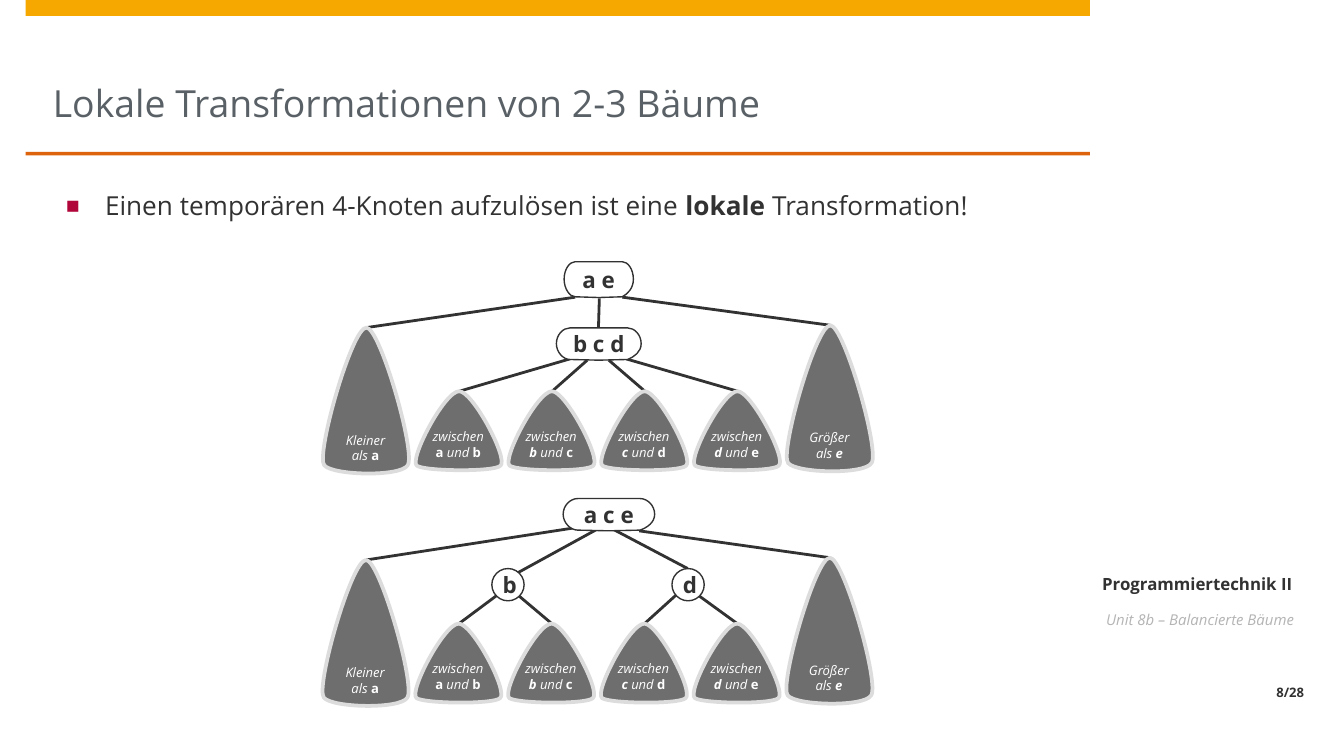
from lxml import etree
from pptx import Presentation
from pptx.dml.color import RGBColor
from pptx.enum import shapes, text
from pptx.oxml import ns
from pptx.util import Pt

FONT = "Open Sans"
INK = RGBColor(0x32, 0x32, 0x32)
TITLE_GREY = RGBColor(0x5A, 0x61, 0x66)
UNIT_GREY = RGBColor(0xB4, 0xB4, 0xB4)
SUBTREE_GREY = RGBColor(0x6E, 0x6E, 0x6E)
RIM_GREY = RGBColor(0xDC, 0xDC, 0xDC)
WHITE = RGBColor(0xFF, 0xFF, 0xFF)
AMBER = RGBColor(0xF6, 0xA8, 0x00)
ORANGE = RGBColor(0xDD, 0x64, 0x0C)
BULLET_RED = RGBColor(0xB1, 0x06, 0x3A)

LEFT, CENTER, RIGHT = text.PP_ALIGN.LEFT, text.PP_ALIGN.CENTER, text.PP_ALIGN.RIGHT
TOP, MIDDLE, BOTTOM = text.MSO_ANCHOR.TOP, text.MSO_ANCHOR.MIDDLE, text.MSO_ANCHOR.BOTTOM

OUTLINE_UNIT = 1000
SUBTREE_OUTLINE = [
    [(20, 940)],
    [(-80, 870), (340, 0), (510, 0)],
    [(670, 0), (1090, 860), (990, 940)],
    [(910, 1020), (120, 1010), (20, 940)],
]
NODE_OUTLINE = [
    [(160, 0)],
    [(500, 0)],
    [(840, 0)],
    [(920, 0), (1000, 210), (1000, 490)],
    [(1000, 740), (920, 900), (840, 980)],
    [(500, 1000)],
    [(160, 980)],
    [(80, 980), (0, 750), (0, 490)],
    [(0, 210), (80, 0), (160, 0)],
]

COLUMN_STEP = 49.7
SUBTREE_WIDTH = 46.1
APEX = 23.6
TALL, SHORT = 78.5, 42.5
SUBTREE_TOPS = [1.2, 35.3, 35.3, 35.3, 35.3, 0]
SUBTREE_LABELS = [
    [("Kleiner als ", False, True), ("a", True, False)],
    [("zwischen ", False, True), ("a ", True, False), ("und ", False, True), ("b", True, False)],
    *[[("zwischen ", False, True), (f"{low} ", True, True), ("und ", False, True), (high, True, False)]
      for low, high in ("bc", "cd", "de")],
    [("Größer als ", False, True), ("e", True, True)],
]

FOUR_NODE_TREE = {
    "nodes": [("b c d", 125.3, 1.4, 45.4, 17.3), ("a e", 129.4, -34.1, 37.1, 19.2)],
    "edges": [((148.3, -14.4), (147.8, 1.4)), ((132.5, 18), 1), ((141.8, 18.7), 2),
              ((153.4, 18.7), 3), ((162.7, 18), 4), ((160.6, -15.1), 5), ((135.4, -15.1), 0)],
}
SPLIT_TREE = {
    "nodes": [("b", 90.9, 5.8, 17.3, 17.3), ("d", 187.4, 5.8, 17.3, 17.3),
              ("a c e", 129.1, -31.7, 49, 17.3)],
    "edges": [((93.6, 20.2), 1), ((105.1, 20.2), 2), ((189.4, 20.2), 3), ((201.6, 20.2), 4),
              ((148.3, -15.8), (105.1, 7.9)), ((154.8, -15.8), (195.8, 5.8)),
              ((133.9, -15.8), 0), ((169.9, -14.4), 5)],
}


def write(shape, runs, size, color, align=LEFT, anchor=TOP, insets=(0, 0, 0, 0), gap=3, wrap=True):
    """Fill a shape with one paragraph of (text, bold, italic) runs."""
    frame = shape.text_frame
    frame.auto_size = text.MSO_AUTO_SIZE.NONE
    frame.word_wrap = wrap
    frame.vertical_anchor = anchor
    frame.margin_left, frame.margin_top, frame.margin_right, frame.margin_bottom = map(Pt, insets)
    paragraph = frame.paragraphs[0]
    paragraph.alignment = align
    paragraph.space_before = paragraph.space_after = Pt(gap)
    for words, bold, italic in runs:
        run = paragraph.add_run()
        run.text = words
        run.font.name, run.font.size = FONT, Pt(size)
        run.font.bold, run.font.italic = bold, italic
        run.font.color.rgb = color
    return paragraph


def paint(shape, fill, line=None, width=0):
    """Give a shape a flat fill and an optional outline."""
    shape.shadow.inherit = False
    shape.fill.solid()
    shape.fill.fore_color.rgb = fill
    if line is None:
        shape.line.fill.background()
    else:
        shape.line.color.rgb = line
        shape.line.width = Pt(width)


def add_outline(slide, outline, left, top, width, height):
    """Draw an outline of lines and cubic curves stretched over a box."""
    builder = slide.shapes.build_freeform(0, 0)
    builder.add_line_segments([(OUTLINE_UNIT, 0), (OUTLINE_UNIT, OUTLINE_UNIT)])
    shape = builder.convert_to_shape()
    shape.left, shape.top, shape.width, shape.height = map(Pt, (left, top, width, height))
    contour = shape._element.find(".//" + ns.qn("a:path"))
    for step in list(contour):
        contour.remove(step)
    for index, points in enumerate(outline):
        tag = "a:moveTo" if index == 0 else "a:lnTo" if len(points) == 1 else "a:cubicBezTo"
        step = etree.SubElement(contour, ns.qn(tag))
        for x, y in points:
            etree.SubElement(step, ns.qn("a:pt"), x=str(x), y=str(y))
    etree.SubElement(contour, ns.qn("a:close"))
    return shape


def add_node(slide, keys, left, top, width, height):
    """Draw a tree node: a circle for one key, a capsule for several."""
    if len(keys) == 1:
        node = slide.shapes.add_shape(shapes.MSO_SHAPE.OVAL, *map(Pt, (left, top, width, height)))
        indent = 2
    else:
        node = add_outline(slide, NODE_OUTLINE, left, top, width, height)
        indent = 0
    paint(node, WHITE, INK, 0.75)
    write(node, [(keys, True, False)], 12, INK, CENTER, MIDDLE, (indent, 0, 0, 0), wrap=False)


def add_edge(slide, start, end):
    """Draw a tree edge between two points."""
    edge = slide.shapes.add_connector(shapes.MSO_CONNECTOR.STRAIGHT, *map(Pt, (*start, *end)))
    edge.line.color.rgb = INK
    edge.line.width = Pt(1.5)
    etree.SubElement(edge._element.spPr, ns.qn("a:effectLst"))


def add_tree(slide, left, top, nodes, edges):
    """Draw edges, nodes and the row of six subtrees."""
    for (x, y), target in edges:
        if isinstance(target, int):
            target = (target * COLUMN_STEP + APEX, SUBTREE_TOPS[target])
        add_edge(slide, (left + x, top + y), (left + target[0], top + target[1]))
    for keys, x, y, width, height in nodes:
        add_node(slide, keys, left + x, top + y, width, height)
    for column, (offset, label) in enumerate(zip(SUBTREE_TOPS, SUBTREE_LABELS)):
        height = TALL if column in (0, 5) else SHORT
        subtree = add_outline(slide, SUBTREE_OUTLINE, left + column * COLUMN_STEP, top + offset,
                              SUBTREE_WIDTH, height)
        paint(subtree, SUBTREE_GREY, RIM_GREY, 2)
        write(subtree, label, 7, WHITE, CENTER, BOTTOM, (8.2, 5.76, 8.2, 5.76))


def add_header(slide, left, top, width):
    """Place the two colour bars and the title between them."""
    for offset, height, color in ((0, 8.6, AMBER), (81.3, 2, ORANGE)):
        bar = slide.shapes.add_shape(shapes.MSO_SHAPE.RECTANGLE,
                                     *map(Pt, (left, top + offset, width, height)))
        paint(bar, color)
    title = slide.shapes.title
    title.left, title.top, title.width, title.height = map(Pt, (left + 14.6, top + 8.9, 541.4, 72.7))
    write(title, [("Lokale Transformationen von 2-3 Bäume", False, False)], 20, TITLE_GREY,
          LEFT, BOTTOM, (0, 0, 0, 14.4), 0)


def add_statement(slide, left, top, width, height):
    """Place the bulleted statement."""
    statement = slide.shapes.add_textbox(*map(Pt, (left, top, width, height)))
    runs = [("Einen temporären 4-Knoten aufzulösen ist eine ", False, False),
            ("lokale", True, False), (" Transformation!", False, False)]
    paragraph = write(statement, runs, 14, INK, insets=(7.2, 3.6, 7.2, 3.6))
    properties = paragraph._p.get_or_add_pPr()
    properties.set("marL", str(Pt(20.9)))
    properties.set("indent", str(-Pt(20.9)))
    bullet_color = etree.SubElement(properties, ns.qn("a:buClr"))
    etree.SubElement(bullet_color, ns.qn("a:srgbClr"), val=str(BULLET_RED))
    etree.SubElement(properties, ns.qn("a:buSzPct"), val="55000")
    etree.SubElement(properties, ns.qn("a:buFont"), typeface=FONT)
    etree.SubElement(properties, ns.qn("a:buChar"), char="■")


def add_sidebar(slide, left, top, width):
    """Place course name, unit and page number."""
    rows = [
        ("Programmiertechnik II", 0, 41, 9, INK, True, CENTER, BOTTOM, 0),
        ("Unit 8b – Balancierte Bäume", 46.1, 37.4, 8, UNIT_GREY, False, LEFT, TOP, 8.6),
        ("8/28", 83.5, 14.4, 7, INK, True, RIGHT, BOTTOM, 8.6),
    ]
    for words, offset, height, size, color, bold, align, anchor, inset in rows:
        row = slide.shapes.add_textbox(*map(Pt, (left, top + offset, width, height)))
        write(row, [(words, bold, not bold)], size, color, align, anchor, (inset, 0, 7.2, 3.6))


def main():
    """Build and save the slide."""
    deck = Presentation()
    deck.slide_width, deck.slide_height = Pt(720), Pt(405)
    slide = deck.slides.add_slide(deck.slide_layouts[5])
    add_header(slide, 13.7, 0, 570.2)
    add_sidebar(slide, 584, 280.8, 121.7)
    add_statement(slide, 28.3, 97.7, 541.4, 42.5)
    add_tree(slide, 172.8, 174.3, **FOUR_NODE_TREE)
    add_tree(slide, 172.6, 298.8, **SPLIT_TREE)
    deck.save("out.pptx")


if __name__ == "__main__":
    main()
